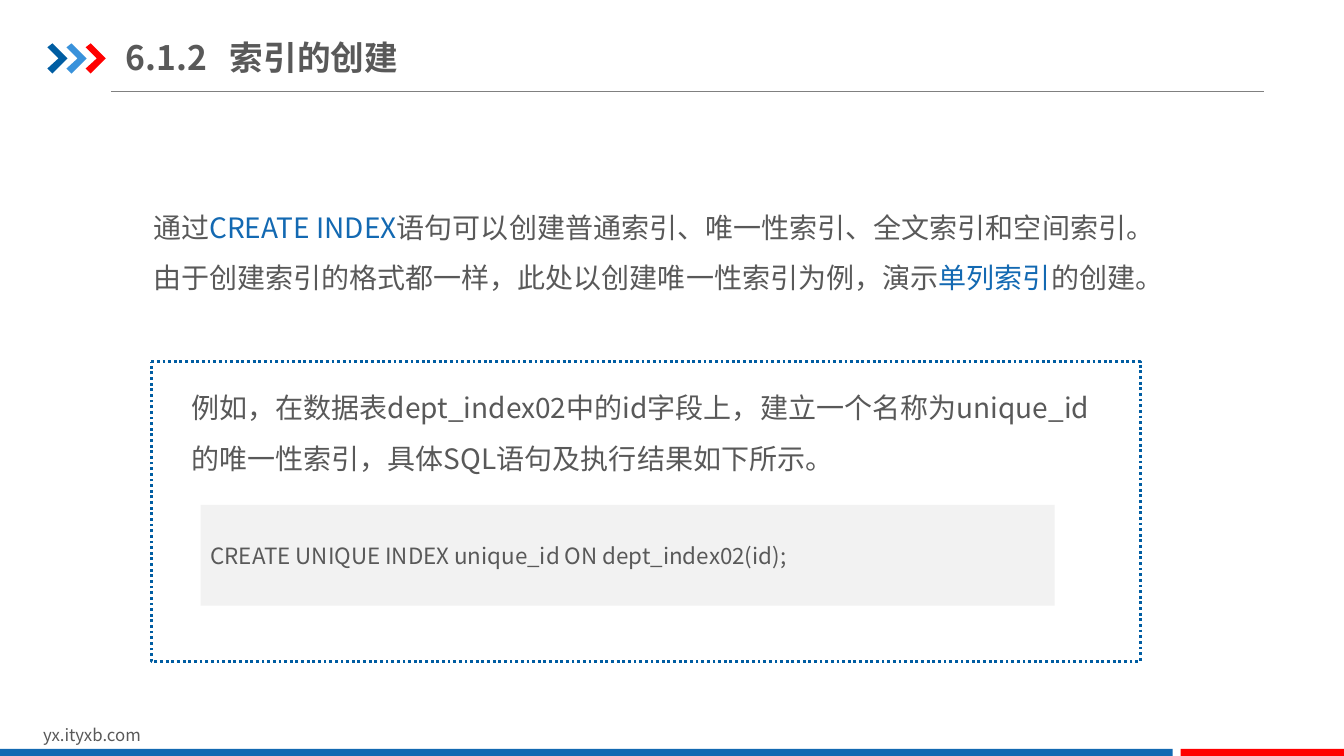
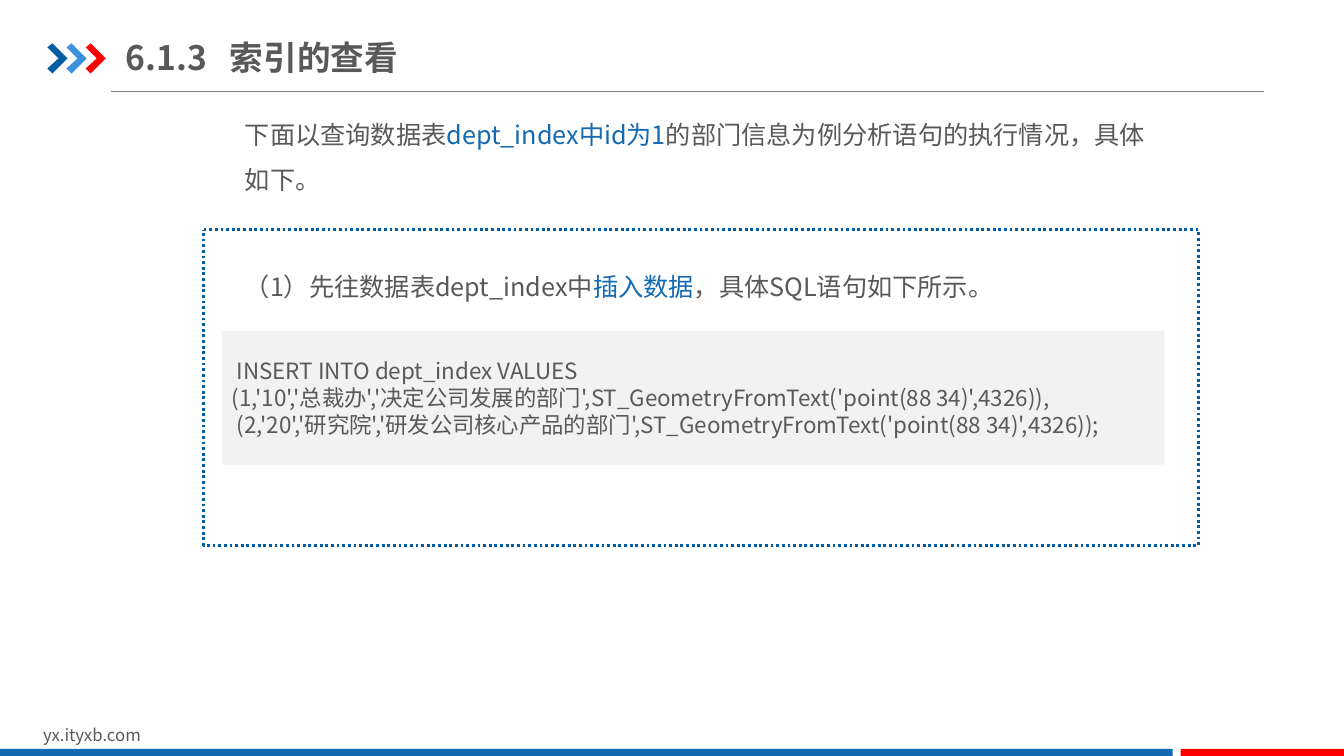
from dataclasses import dataclass

from lxml import etree
from pptx import Presentation
from pptx.dml.color import RGBColor
from pptx.enum.dml import MSO_LINE
from pptx.enum.shapes import MSO_CONNECTOR, MSO_SHAPE
from pptx.enum.text import MSO_ANCHOR, MSO_AUTO_SIZE, PP_ALIGN
from pptx.oxml.ns import qn
from pptx.util import Inches, Pt

RECTANGLE = MSO_SHAPE.RECTANGLE
PROCESS = MSO_SHAPE.FLOWCHART_PROCESS
STRAIGHT = MSO_CONNECTOR.STRAIGHT
DOTTED = MSO_LINE.ROUND_DOT
MIDDLE = MSO_ANCHOR.MIDDLE
TOP = MSO_ANCHOR.TOP
LEFT = PP_ALIGN.LEFT
GROW = MSO_AUTO_SIZE.SHAPE_TO_FIT_TEXT
BLANK_LAYOUT = 6


@dataclass(frozen=True)
class Theme:
    font: str = "Noto Sans CJK SC"
    text: str = "595959"
    blue: str = "1369B2"
    dark_blue: str = "005DA2"
    light_blue: str = "3992DB"
    red: str = "FF0000"
    rule: str = "808080"
    white: str = "FFFFFF"
    code_fill: str = "F2F2F2"
    title_size: int = 24
    code_size: int = 16
    footer_size: int = 12


THEME = Theme()
SLIDE_WIDTH, SLIDE_HEIGHT = 13.33, 7.5
TITLE_BOX = (1.25, 0.29, 4.64, 0.55)
TITLE_TAB = 1.03
FOOTER = "yx.ityxb.com"
FOOTER_BOX = (0.33, 7.14, 3.18, 0.3)
BAND_TOP = 7.43
BANDS = [(0, 11.63, THEME.blue), (11.71, SLIDE_WIDTH, THEME.red)]
CHEVRON_LEFT, CHEVRON_TOP, CHEVRON_STEP = 0.47, 0.43, 0.19
CHEVRON_COLORS = [THEME.dark_blue, THEME.light_blue, THEME.red]
CHEVRON_OUTLINE = [(0, 0.04), (0.05, 0), (0.2, 0.15), (0.05, 0.3), (0, 0.25), (0.11, 0.15)]

# Each run is (text, highlighted).
SLIDES = [
    {
        "number": "6.1.2",
        "title": "索引的创建",
        "size": 20,
        "frame": (1.5, 3.59, 9.81, 2.97),
        "passages": [
            ((1.42, 1.87, 10.24, 1.11), [
                ("通过", False),
                ("CREATE INDEX", True),
                ("语句可以创建普通索引、唯一性索引、全文索引和空间索引。"
                 "由于创建索引的格式都一样，此处以创建唯一性索引为例，演示", False),
                ("单列索引", True),
                ("的创建。", False),
            ]),
            ((1.8, 3.66, 9.29, 1.11), [
                ("例如，在数据表dept_index02中的id字段上，建立一个名称为"
                 "unique_id的唯一性索引，具体SQL语句及执行结果如下所示。", False),
            ]),
        ],
        "code_box": (1.99, 5.01, 8.47, 1),
        "code": ["CREATE UNIQUE INDEX unique_id ON dept_index02(id);"],
    },
    {
        "number": "6.1.3",
        "title": "索引的查看",
        "size": 18,
        "frame": (2.02, 2.28, 9.87, 3.13),
        "passages": [
            ((2.33, 0.98, 9.13, 1.01), [
                ("下面以查询数据表", False),
                ("dept_index中id为1", True),
                ("的部门信息为例分析语句的执行情况，具体如下。", False),
            ]),
            ((2.33, 2.49, 8.37, 0.55), [
                ("（1）先往数据表dept_index中", False),
                ("插入数据", True),
                ("，具体SQL语句如下所示。", False),
            ]),
        ],
        "code_box": (2.2, 3.28, 9.35, 1.33),
        "code": [
            " INSERT INTO dept_index VALUES",
            "(1,'10','总裁办','决定公司发展的部门',ST_GeometryFromText('point(88 34)',4326)),",
            " (2,'20','研究院','研发公司核心产品的部门',ST_GeometryFromText('point(88 34)',4326));",
        ],
    },
]


def rgb(color):
    return RGBColor.from_string(color)


def box_lengths(box):
    return [Inches(value) for value in box]


def fill_plain(shape, color):
    shape.shadow.inherit = False
    shape.fill.solid()
    shape.fill.fore_color.rgb = rgb(color)
    shape.line.fill.background()


def add_block(slide, kind, box, color):
    shape = slide.shapes.add_shape(kind, *box_lengths(box))
    fill_plain(shape, color)
    return shape


def add_run(paragraph, text, size, color=THEME.text, bold=False):
    run = paragraph.add_run()
    run.text = text
    font = run.font
    font.size = Pt(size)
    font.bold = bold
    font.color.rgb = rgb(color)
    font.name = THEME.font
    east_asian = etree.SubElement(run._r.get_or_add_rPr(), qn("a:ea"))
    east_asian.set("typeface", THEME.font)


def add_text_box(slide, box, anchor=TOP):
    frame = slide.shapes.add_textbox(*box_lengths(box)).text_frame
    frame.word_wrap = True
    frame.vertical_anchor = anchor
    return frame


def add_chevron(slide, left, color):
    points = [(Inches(left + x), Inches(CHEVRON_TOP + y)) for x, y in CHEVRON_OUTLINE]
    builder = slide.shapes.build_freeform(*points[0], scale=1.0)
    builder.add_line_segments(points[1:], close=True)
    fill_plain(builder.convert_to_shape(), color)


def draw_shared_parts(slide):
    rule = slide.shapes.add_connector(STRAIGHT, *box_lengths((1.1, 0.91, 12.54, 0.91)))
    rule.line.color.rgb = rgb(THEME.rule)
    rule.line.width = Pt(0.75)
    etree.SubElement(rule._element.spPr, qn("a:effectLst"))
    for index, color in enumerate(CHEVRON_COLORS):
        add_chevron(slide, CHEVRON_LEFT + index * CHEVRON_STEP, color)
    footer = add_text_box(slide, FOOTER_BOX)
    add_run(footer.paragraphs[0], FOOTER, THEME.footer_size)
    for left, right, color in BANDS:
        add_block(slide, RECTANGLE, (left, BAND_TOP, right - left, SLIDE_HEIGHT - BAND_TOP), color)


def move_to_layout(slide, layout):
    """Make everything drawn on the slide part of its layout."""
    layout_tree = layout.shapes._spTree
    for placeholder in list(layout.placeholders):
        layout_tree.remove(placeholder._element)
    for shape in list(slide.shapes):
        layout_tree.append(shape._element)


def add_title(slide, number, title):
    frame = add_text_box(slide, TITLE_BOX, MIDDLE)
    frame.margin_left = frame.margin_right = 0
    frame.margin_top = frame.margin_bottom = Inches(0.07)
    paragraph = frame.paragraphs[0]
    tabs = etree.SubElement(paragraph._p.get_or_add_pPr(), qn("a:tabLst"))
    etree.SubElement(tabs, qn("a:tab"), pos=str(Inches(TITLE_TAB)), algn="l")
    add_run(paragraph, f"{number}\t{title}", THEME.title_size, bold=True)


def add_frame(slide, box):
    frame = add_block(slide, PROCESS, box, THEME.white)
    frame.line.color.rgb = rgb(THEME.dark_blue)
    frame.line.width = Pt(2)
    frame.line.dash_style = DOTTED


def add_passage(slide, box, runs, size):
    frame = add_text_box(slide, box)
    frame.auto_size = GROW
    paragraph = frame.paragraphs[0]
    paragraph.line_spacing = 1.5
    for text, highlighted in runs:
        add_run(paragraph, text, size, THEME.blue if highlighted else THEME.text)


def add_code(slide, box, lines):
    frame = add_block(slide, RECTANGLE, box, THEME.code_fill).text_frame
    frame.word_wrap = True
    frame.vertical_anchor = MIDDLE
    for index, line in enumerate(lines):
        paragraph = frame.add_paragraph() if index else frame.paragraphs[0]
        paragraph.alignment = LEFT
        add_run(paragraph, line, THEME.code_size)


def main():
    presentation = Presentation()
    presentation.slide_width = Inches(SLIDE_WIDTH)
    presentation.slide_height = Inches(SLIDE_HEIGHT)
    layout = presentation.slide_layouts[BLANK_LAYOUT]
    for index, content in enumerate(SLIDES):
        slide = presentation.slides.add_slide(layout)
        if index == 0:
            draw_shared_parts(slide)
            move_to_layout(slide, layout)
        add_title(slide, content["number"], content["title"])
        add_frame(slide, content["frame"])
        for box, runs in content["passages"]:
            add_passage(slide, box, runs, content["size"])
        add_code(slide, content["code_box"], content["code"])
    presentation.save("out.pptx")


if __name__ == "__main__":
    main()
